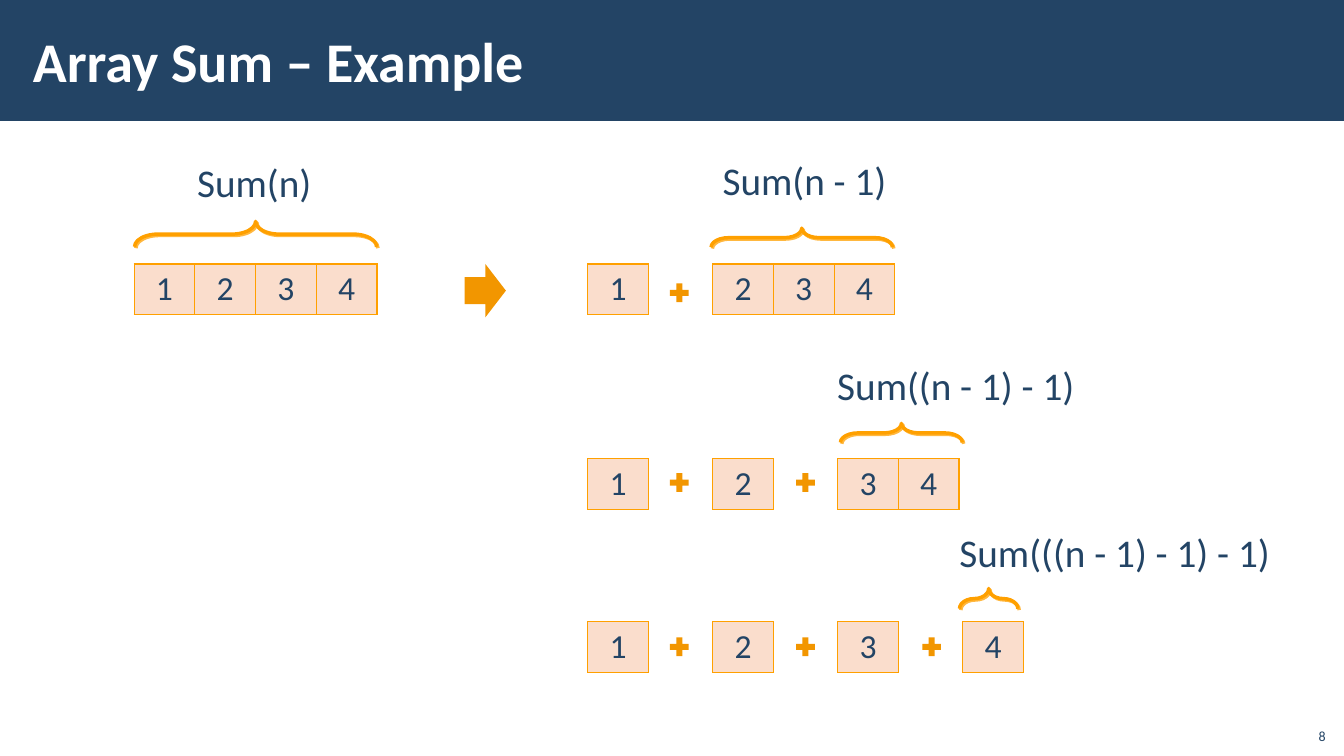
from dataclasses import dataclass

import lxml.etree
import pptx
import pptx.dml.color
import pptx.enum.shapes
import pptx.enum.text
import pptx.oxml
import pptx.oxml.ns
import pptx.util
from pptx.util import Cm

NAVY = "234465"
ORANGE = "F29600"
AMBER = "FFA000"
PEACH = "FADDCC"
WHITE = "FFFFFF"
FONT = "Calibri"
CELL_WIDTH, CELL_HEIGHT = 1.53, 1.27
FIRST_TERM_LEFT, TERM_STEP = 14.81, 3.15
FIRST_PLUS_LEFT, PLUS_STEP = 16.8, 3.18
PLUS_SIZE = 0.64
LABEL_HEIGHT = 1.45
SHAPES = pptx.enum.shapes.MSO_SHAPE
ALIGN = pptx.enum.text.PP_ALIGN
ANCHOR = pptx.enum.text.MSO_ANCHOR
AUTO_SIZE = pptx.enum.text.MSO_AUTO_SIZE


@dataclass(frozen=True)
class Label:
    text: str
    left: float
    top: float
    width: float


@dataclass(frozen=True)
class Brace:
    left: float
    top: float
    span: float
    depth: float


@dataclass(frozen=True)
class Expansion:
    top: float
    plus_top: float
    terms: tuple[str, ...]


LABELS = (
    Label("Sum(n)", 4.72, 3.86, 3.43),
    Label("Sum(n - 1)", 17.96, 3.81, 4.7),
    Label("Sum((n - 1) - 1)", 20.85, 8.97, 6.76),
    Label("Sum(((n - 1) - 1) - 1)", 23.93, 13.18, 8.64),
)
BRACES = (
    Brace(3.39, 5.58, 6.1, 0.64),
    Brace(17.92, 5.75, 4.57, 0.48),
    Brace(21.18, 10.67, 3.07, 0.48),
    Brace(24.18, 14.83, 1.47, 0.51),
)
EXPANSIONS = (
    Expansion(6.65, 7.06, ("1", "234")),
    Expansion(11.56, 11.84, ("1", "2", "34")),
    Expansion(15.67, 15.98, ("1", "2", "3", "4")),
)


def color(value: str) -> pptx.dml.color.RGBColor:
    return pptx.dml.color.RGBColor.from_string(value)


def format_text(text_frame, size: float, value: str, bold: bool = False, alignment=ALIGN.LEFT) -> None:
    for paragraph in text_frame.paragraphs:
        paragraph.alignment = alignment
        for run in paragraph.runs:
            run.font.name = FONT
            run.font.size = pptx.util.Pt(size)
            run.font.bold = bold
            run.font.color.rgb = color(value)


def add_solid(slide, kind, left: float, top: float, width: float, height: float, fill: str):
    shape = slide.shapes.add_shape(kind, Cm(left), Cm(top), Cm(width), Cm(height))
    shape.shadow.inherit = False
    shape.fill.solid()
    shape.fill.fore_color.rgb = color(fill)
    shape.line.fill.background()
    return shape


def add_title(slide) -> None:
    band = add_solid(slide, SHAPES.RECTANGLE, 0, 0, 33.87, 3.05, NAVY)
    title = slide.shapes.title
    title._element.addprevious(band._element)
    title.left, title.top, title.width, title.height = Cm(0.53), Cm(0.28), Cm(27), Cm(2.46)
    text_frame = title.text_frame
    text_frame.text = "Array Sum – Example"
    text_frame.auto_size = AUTO_SIZE.NONE
    text_frame.vertical_anchor = ANCHOR.MIDDLE
    text_frame.margin_left = text_frame.margin_right = Cm(0.3)
    text_frame.margin_top = text_frame.margin_bottom = Cm(0.1)
    format_text(text_frame, 40, WHITE, bold=True)


def add_label(slide, label: Label) -> None:
    box = slide.shapes.add_textbox(Cm(label.left), Cm(label.top), Cm(label.width), Cm(LABEL_HEIGHT))
    box.text_frame.text = label.text
    box.text_frame.word_wrap = False
    box.text_frame.auto_size = AUTO_SIZE.SHAPE_TO_FIT_TEXT
    format_text(box.text_frame, 28, NAVY)


def add_brace(slide, brace: Brace) -> None:
    offset = (brace.span - brace.depth) / 2
    shape = slide.shapes.add_shape(
        SHAPES.LEFT_BRACE, Cm(brace.left + offset), Cm(brace.top - offset), Cm(brace.depth), Cm(brace.span)
    )
    shape.rotation = 90
    shape.adjustments[0] = 0.92
    shape.fill.background()
    shape.line.color.rgb = color(AMBER)
    shape.line.width = pptx.util.Pt(2.5)
    shape.shadow.inherit = False
    effects = shape._element.spPr.find(pptx.oxml.ns.qn("a:effectLst"))
    effects.append(pptx.oxml.parse_xml(
        f'<a:outerShdw {pptx.oxml.ns.nsdecls("a")} blurRad="0" dist="17780" dir="2700000" '
        'rotWithShape="0"><a:srgbClr val="FFB840"/></a:outerShdw>'
    ))


def add_borders(cell) -> None:
    properties = cell._tc.get_or_add_tcPr()
    for index, side in enumerate(("lnL", "lnR", "lnT", "lnB")):
        border = lxml.etree.Element(pptx.oxml.ns.qn(f"a:{side}"), w="12700")
        fill = lxml.etree.SubElement(border, pptx.oxml.ns.qn("a:solidFill"))
        lxml.etree.SubElement(fill, pptx.oxml.ns.qn("a:srgbClr"), val=AMBER)
        properties.insert(index, border)


def add_array(slide, values: str, left: float, top: float) -> None:
    frame = slide.shapes.add_table(
        1, len(values), Cm(left), Cm(top), Cm(CELL_WIDTH * len(values)), Cm(CELL_HEIGHT)
    )
    table = frame.table
    table.first_row = False
    table.horz_banding = False
    for cell, value in zip(table.iter_cells(), values):
        cell.text_frame.text = value
        cell.fill.solid()
        cell.fill.fore_color.rgb = color(PEACH)
        format_text(cell.text_frame, 24, NAVY, alignment=ALIGN.CENTER)
        add_borders(cell)


def add_expansion(slide, expansion: Expansion) -> None:
    for index, values in enumerate(expansion.terms):
        add_array(slide, values, FIRST_TERM_LEFT + index * TERM_STEP, expansion.top)
    for index in range(len(expansion.terms) - 1):
        plus_left = FIRST_PLUS_LEFT + index * PLUS_STEP
        add_solid(slide, SHAPES.MATH_PLUS, plus_left, expansion.plus_top, PLUS_SIZE, PLUS_SIZE, ORANGE)


def add_slide_number(slide) -> None:
    box = slide.shapes.add_textbox(Cm(32.64), Cm(18.08), Cm(1.02), Cm(0.81))
    box.text_frame.text = "8"
    box.text_frame.word_wrap = True
    box.text_frame.vertical_anchor = ANCHOR.BOTTOM
    format_text(box.text_frame, 10, NAVY, alignment=ALIGN.RIGHT)


def main() -> None:
    presentation = pptx.Presentation()
    presentation.slide_width, presentation.slide_height = Cm(33.87), Cm(19.05)
    slide = presentation.slides.add_slide(presentation.slide_layouts[5])
    add_title(slide)
    add_solid(slide, SHAPES.RIGHT_ARROW, 11.71, 6.65, 1.04, 1.35, ORANGE)
    for label in LABELS:
        add_label(slide, label)
    for brace in BRACES:
        add_brace(slide, brace)
    add_array(slide, "1234", 3.38, 6.65)
    for expansion in EXPANSIONS:
        add_expansion(slide, expansion)
    add_slide_number(slide)
    presentation.save("out.pptx")


if __name__ == "__main__":
    main()
